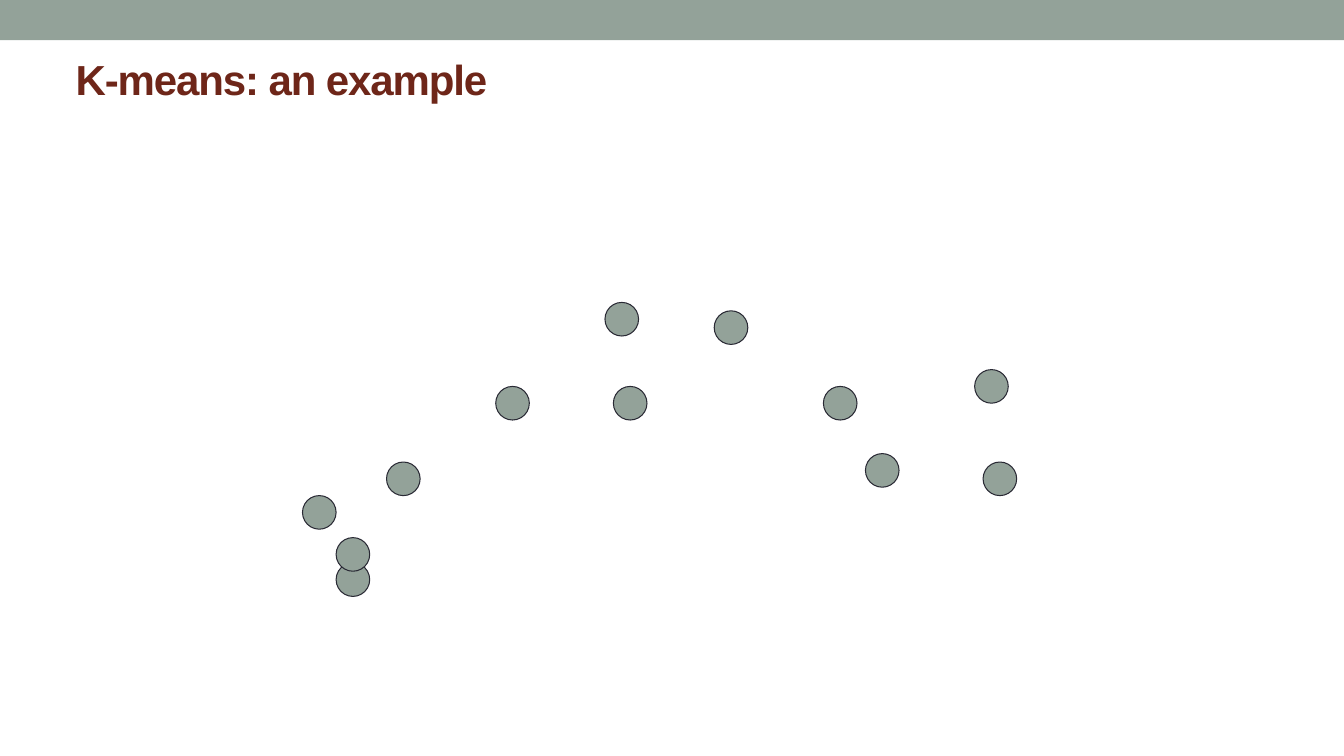
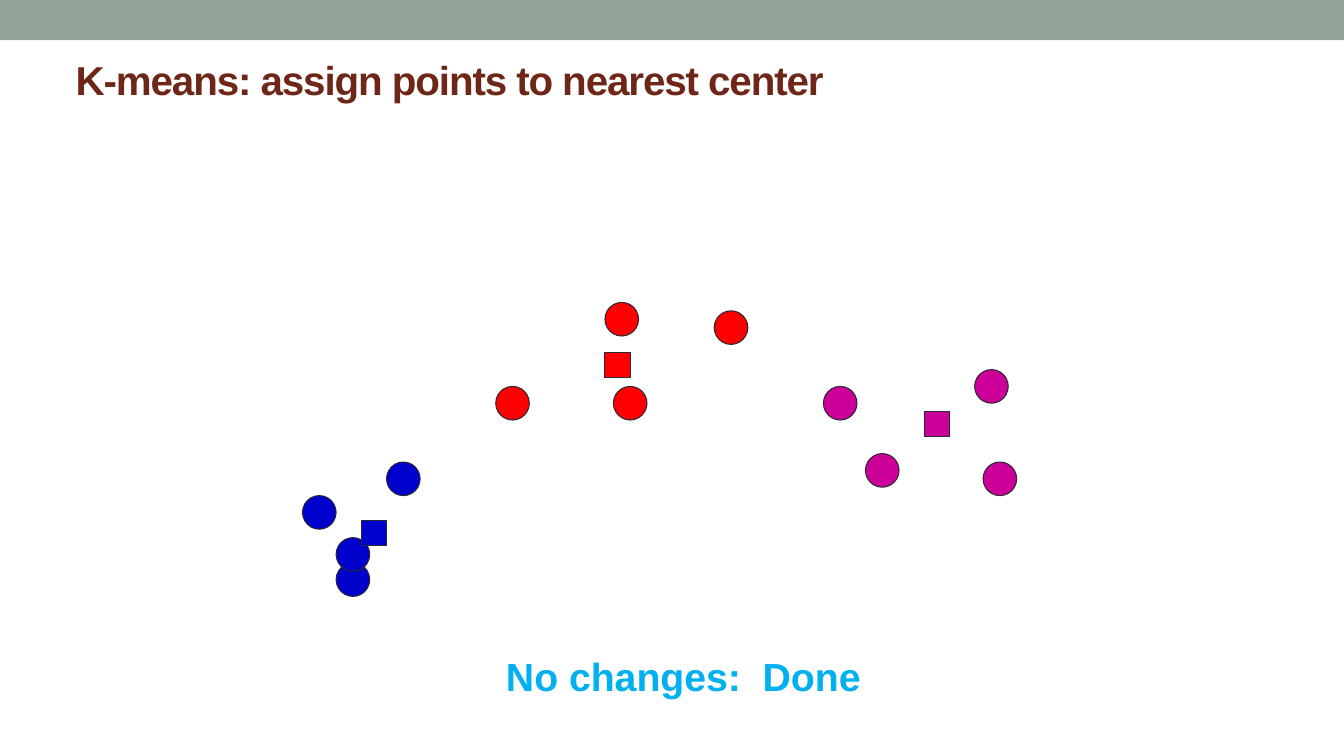
import pptx
import pptx.util
import pptx.dml.color
import pptx.enum.shapes
import pptx.enum.text

Inches = pptx.util.Inches
Pt = pptx.util.Pt
SHAPE = pptx.enum.shapes.MSO_SHAPE
ANCHOR = pptx.enum.text.MSO_ANCHOR

WIDE, HIGH = 13.33, 7.5
FONT = "Arial"
SAGE, INK, BROWN, SKY = "93A299", "292934", "6E2619", "00B0F0"
BLUE, RED, PINK = "0000CC", "FF0000", "CC0099"

STEP = 1 / 12
DOT, MARK = 4 * STEP, 3 * STEP
FIELD = (3, 3)
GROUPS = {
    BLUE: ([(4, 31), (0, 23), (10, 19), (4, 28)], (7, 26)),
    RED: ([(36, 0), (49, 1), (37, 10), (23, 10)], (36, 6)),
    PINK: ([(80, 8), (81, 19), (62, 10), (67, 18)], (74, 13)),
}


def color(code):
    """Return the colour for a hex string."""
    return pptx.dml.color.RGBColor.from_string(code)


def shape(slide, kind, box, fill, line=None):
    """Add a flat filled shape, outlined if a line colour is given."""
    item = slide.shapes.add_shape(kind, *map(Inches, box))
    item.shadow.inherit = False
    item.fill.solid()
    item.fill.fore_color.rgb = color(fill)
    if line:
        item.line.color.rgb = color(line)
        item.line.width = Pt(0.75)
    else:
        item.line.fill.background()
    return item


def label(slide, box, text, size, tint, anchor=ANCHOR.TOP, inset=0.1, track=0):
    """Add a bold line of text in a box."""
    frame = slide.shapes.add_textbox(*map(Inches, box)).text_frame
    frame.word_wrap = True
    frame.vertical_anchor = anchor
    frame.margin_left = frame.margin_right = Inches(inset)
    frame.margin_top = frame.margin_bottom = Inches(inset / 2)
    run = frame.paragraphs[0].add_run()
    run.text = text
    run.font.name = FONT
    run.font.size = Pt(size)
    run.font.bold = True
    run.font.color.rgb = color(tint)
    if track:
        run._r.get_or_add_rPr().set("spc", str(round(track * 100)))


def page(deck, title, size):
    """Add a slide with the top band and its title."""
    slide = deck.slides.add_slide(deck.slide_layouts[6])
    shape(slide, SHAPE.RECTANGLE, (0, 0, WIDE, 0.4), SAGE)
    label(slide, (0.67, 0.49, 12, 0.59), title, size, BROWN,
          ANCHOR.MIDDLE, 0.08, -0.8)
    return slide


def plot(slide, field, solved):
    """Draw the points from a corner, with clusters and centers if solved."""
    left, top = field

    def put(kind, spot, side, fill):
        """Place one marker by its grid spot."""
        x, y = spot
        box = (left + x * STEP, top + y * STEP, side, side)
        shape(slide, kind, box, fill, INK)

    for tint, (dots, center) in GROUPS.items():
        for dot in dots:
            put(SHAPE.OVAL, dot, DOT, tint if solved else SAGE)
        if solved:
            put(SHAPE.RECTANGLE, center, MARK, tint)


def main():
    """Build and save the deck."""
    deck = pptx.Presentation()
    deck.slide_width, deck.slide_height = Inches(WIDE), Inches(HIGH)
    plot(page(deck, "K-means: an example", 30), FIELD, False)
    last = page(deck, "K-means: assign points to nearest center", 28.8)
    plot(last, FIELD, True)
    label(last, (4.92, 6.42, 5.58, 0.57), "No changes:  Done", 28, SKY)
    deck.save("out.pptx")


if __name__ == "__main__":
    main()
